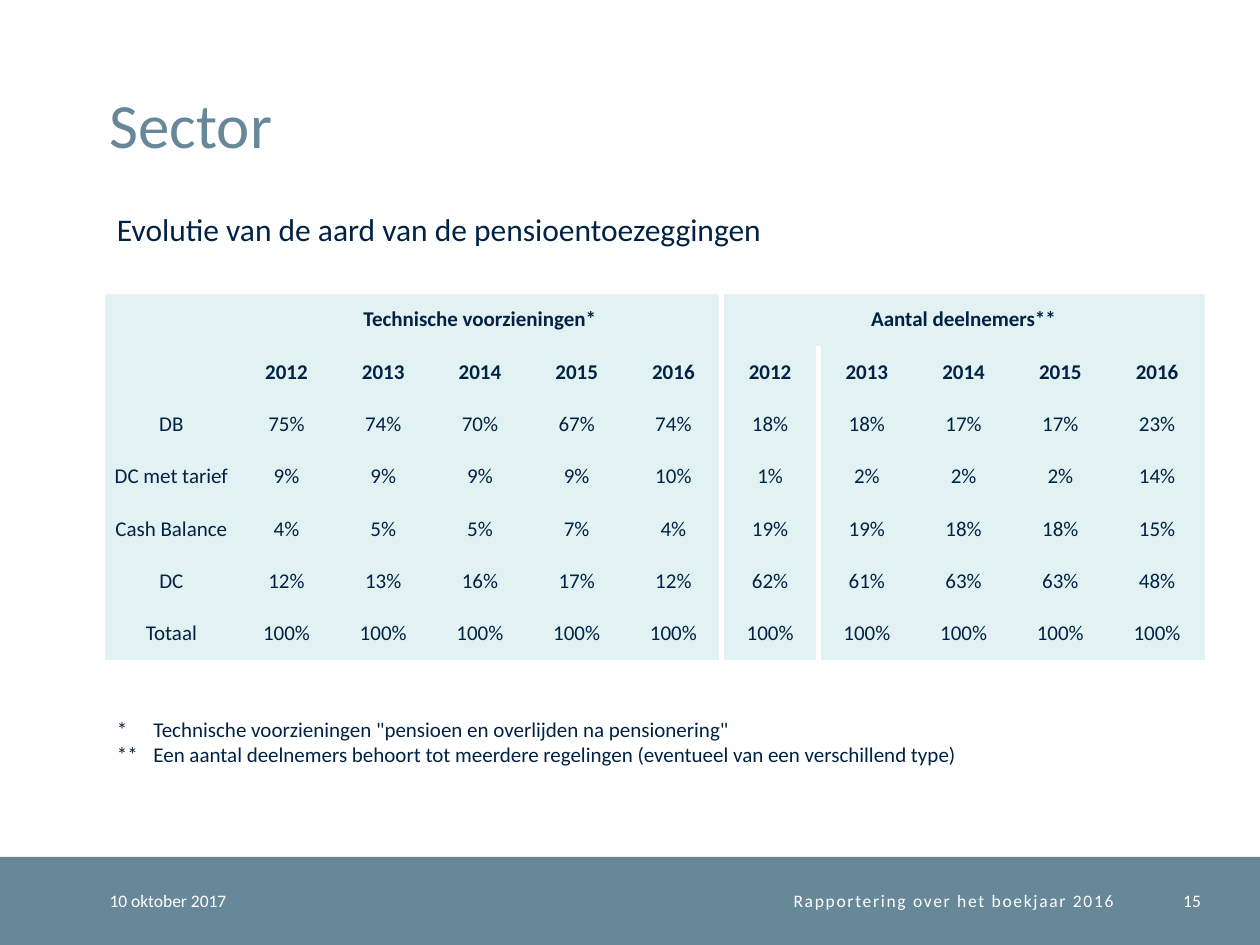
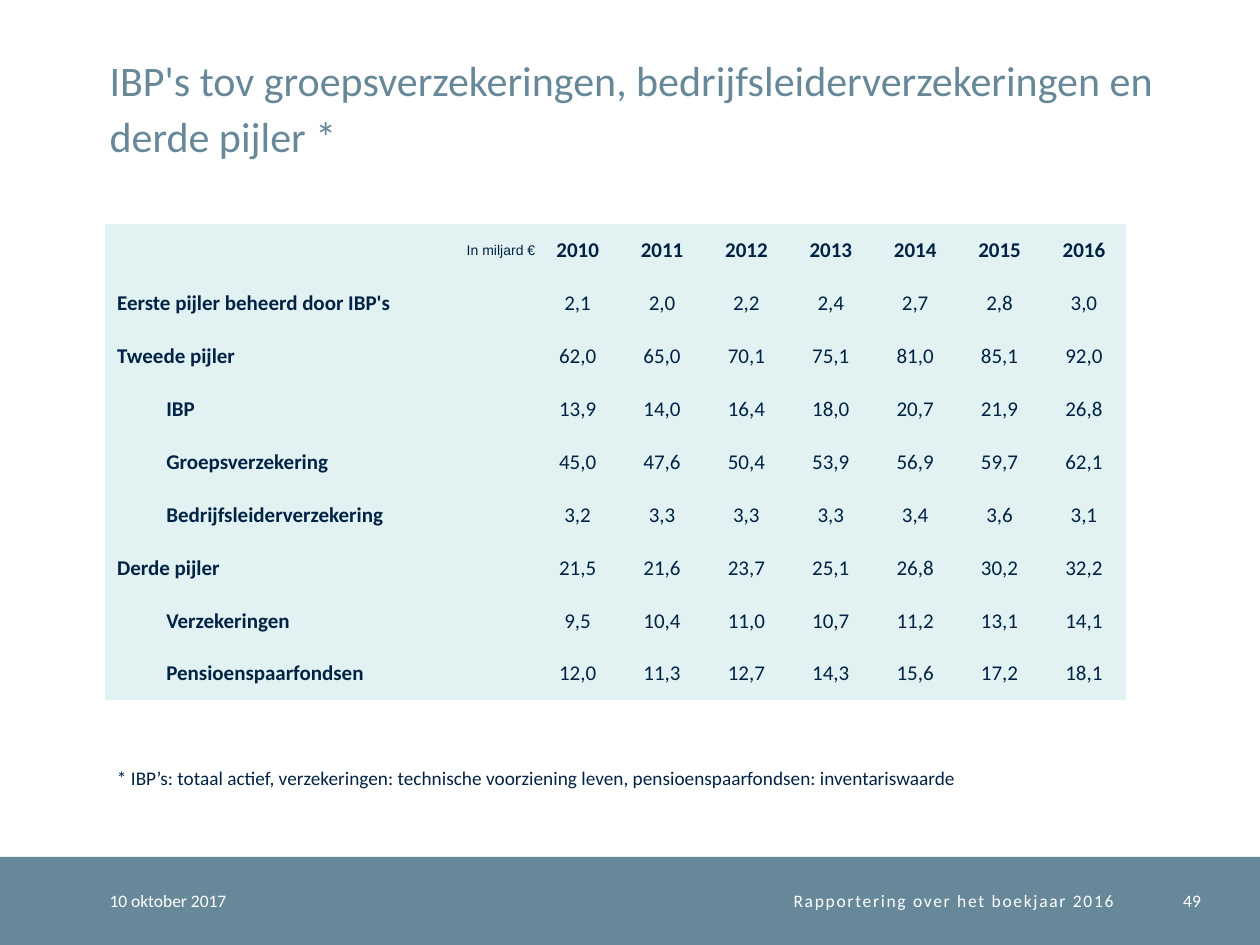
from dataclasses import dataclass, replace

from lxml.etree import SubElement
from pptx import Presentation
from pptx.dml.color import RGBColor
from pptx.enum.shapes import MSO_SHAPE
from pptx.enum.text import MSO_ANCHOR, MSO_AUTO_SIZE, PP_ALIGN
from pptx.oxml.ns import qn
from pptx.util import Inches, Pt

SLATE, NAVY, MINT, WHITE = "668899", "002244", "E2F2F2", "FFFFFF"
PLAIN = "{2D5ABB26-0587-4C30-8999-92F81FD0307C}"  # table style without grid


@dataclass(frozen=True)
class Style:
    size: float
    color: str = NAVY
    font: str = "Calibri"
    bold: bool = False
    align: PP_ALIGN = PP_ALIGN.LEFT
    left: float = 0
    hang: float = 0
    track: float = 0


@dataclass(frozen=True)
class Box:
    left: float
    top: float
    width: float
    height: float

    def place(self) -> list:
        return [Inches(v) for v in (self.left, self.top, self.width, self.height)]


@dataclass(frozen=True)
class Grid:
    box: Box
    first: float  # width of the label column
    rows: list


TITLE = Box(0.87, 0.2, 8.63, 1.08)
BAND = Box(0, 6.8, 10, 0.7)
SMALL = Style(10, WHITE)
BODY = Style(12)
MID = replace(BODY, align=PP_ALIGN.CENTER)
HEAD = replace(MID, bold=True)
NOTE = replace(BODY, left=0.29, hang=-0.29)


def paint(color: str) -> RGBColor:
    return RGBColor.from_string(color)


def write(frame, lines: list, style: Style) -> None:
    for i, line in enumerate(lines):
        para = frame.paragraphs[0] if i == 0 else frame.add_paragraph()
        para.alignment = style.align
        if style.left:
            props = para._p.get_or_add_pPr()
            props.set("marL", str(Inches(style.left)))
            props.set("indent", str(Inches(style.hang)))
        run = para.add_run()
        run.text = line
        font = run.font
        font.name, font.size, font.bold = style.font, Pt(style.size), style.bold
        font.color.rgb = paint(style.color)
        if style.track:
            run._r.get_or_add_rPr().set("spc", str(int(style.track * 100)))


def strip(frame, anchor: MSO_ANCHOR) -> None:
    frame.margin_left = frame.margin_right = 0
    frame.margin_top = frame.margin_bottom = 0
    frame.vertical_anchor = anchor


def label(slide, box: Box, lines: list, style: Style, flush: bool = False) -> None:
    frame = slide.shapes.add_textbox(*box.place()).text_frame
    frame.word_wrap = True
    if flush:
        strip(frame, MSO_ANCHOR.MIDDLE)
    write(frame, lines, style)


# Shared page: title, band and footer
def page(deck, title: str, size: float, number: str):
    slide = deck.slides.add_slide(deck.slide_layouts[5])
    head = slide.shapes.title
    head.left, head.top, head.width, head.height = TITLE.place()
    frame = head.text_frame
    frame.word_wrap, frame.auto_size = True, MSO_AUTO_SIZE.NONE
    strip(frame, MSO_ANCHOR.BOTTOM)
    write(frame, [title], Style(size, SLATE))
    frame.paragraphs[0].line_spacing = Pt(32)

    band = slide.shapes.add_shape(MSO_SHAPE.RECTANGLE, *BAND.place())
    band.shadow.inherit = False
    band.fill.solid()
    band.fill.fore_color.rgb = paint(SLATE)
    band.line.fill.background()

    right = replace(SMALL, align=PP_ALIGN.RIGHT)
    for left, width, text, style in (
        (0.87, 1.77, "10 oktober 2017", SMALL),
        (2.64, 6.2, "Rapportering over het boekjaar 2016", replace(right, track=1)),
        (9.04, 0.49, number, right),
    ):
        label(slide, Box(left, BAND.top, width, BAND.height), [text], style, True)
    return slide


# Tables
def edge(cell, side: str) -> None:
    props = cell._tc.get_or_add_tcPr()
    line = SubElement(props, qn(f"a:ln{side}"), w=str(Pt(3)))
    fill = SubElement(line, qn("a:solidFill"))
    SubElement(fill, qn("a:srgbClr"), val=WHITE)
    props.insert(0, line)


def draw(slide, grid: Grid, pick):
    rows, cols = len(grid.rows), len(grid.rows[0])
    shape = slide.shapes.add_table(rows, cols, *grid.box.place())
    next(shape.element.iter(qn("a:tableStyleId"))).text = PLAIN
    table = shape.table
    table.first_row = table.horz_banding = False
    rest = (grid.box.width - grid.first) / (cols - 1)
    for c, col in enumerate(table.columns):
        col.width = Inches(rest if c else grid.first)
    for r, row in enumerate(table.rows):
        row.height = Inches(grid.box.height / rows)
        for c, text in enumerate(grid.rows[r]):
            cell = table.cell(r, c)
            strip(cell, MSO_ANCHOR.MIDDLE)
            cell.fill.solid()
            cell.fill.fore_color.rgb = paint(MINT)
            if text:
                write(cell.text_frame, [text], pick(r, c))
    return table


YEARS = [str(y) for y in range(2010, 2017)]
SECTOR = Grid(Box(0.83, 2.33, 8.74, 2.91), 1.06, [
    ["", "Technische voorzieningen*", *[""] * 4, "Aantal deelnemers**", *[""] * 4],
    ["", *YEARS[2:] * 2],
    *[[name, *[f"{v}%" for v in vals]] for name, vals in (
        ("DB", (75, 74, 70, 67, 74, 18, 18, 17, 17, 23)),
        ("DC met tarief", (9, 9, 9, 9, 10, 1, 2, 2, 2, 14)),
        ("Cash Balance", (4, 5, 5, 7, 4, 19, 19, 18, 18, 15)),
        ("DC", (12, 13, 16, 17, 12, 62, 61, 63, 63, 48)),
        ("Totaal", (100,) * 10),
    )],
])
PILLAR = Grid(Box(0.83, 1.78, 8.11, 3.78), 3.42, [
    ["In miljard €", *YEARS],
    *[[name, *vals.split()] for name, vals in (
        ("Eerste pijler beheerd door IBP's", "2,1 2,0 2,2 2,4 2,7 2,8 3,0"),
        ("Tweede pijler", "62,0 65,0 70,1 75,1 81,0 85,1 92,0"),
        ("IBP", "13,9 14,0 16,4 18,0 20,7 21,9 26,8"),
        ("Groepsverzekering", "45,0 47,6 50,4 53,9 56,9 59,7 62,1"),
        ("Bedrijfsleiderverzekering", "3,2 3,3 3,3 3,3 3,4 3,6 3,1"),
        ("Derde pijler", "21,5 21,6 23,7 25,1 26,8 30,2 32,2"),
        ("Verzekeringen", "9,5 10,4 11,0 10,7 11,2 13,1 14,1"),
        ("Pensioenspaarfondsen", "12,0 11,3 12,7 14,3 15,6 17,2 18,1"),
    )],
])


def sector(deck) -> None:
    slide = page(deck, "Sector", 36, "15")
    label(slide, Box(0.83, 1.62, 8.43, 0.4),
          ["Evolutie van de aard van de pensioentoezeggingen"], Style(18))
    table = draw(slide, SECTOR, lambda r, c: HEAD if r < 2 else MID)
    # White rule between the two halves
    for r in range(len(SECTOR.rows)):
        edge(table.cell(r, 5), "R")
        edge(table.cell(r, 6), "L")
    edge(table.cell(0, 1), "R")
    table.cell(0, 0).merge(table.cell(1, 0))
    for c in (1, 6):
        table.cell(0, c).merge(table.cell(0, c + 4))
    label(slide, Box(0.83, 5.64, 8.74, 0.5), [
        '*\tTechnische voorzieningen "pensioen en overlijden na pensionering"',
        "**\tEen aantal deelnemers behoort tot meerdere regelingen "
        "(eventueel van een verschillend type)",
    ], NOTE)


def pillar(deck) -> None:
    slide = page(deck, "IBP's tov groepsverzekeringen, "
                 "bedrijfsleiderverzekeringen en derde pijler *", 24, "49")
    unit = Style(8, font="Arial", align=PP_ALIGN.RIGHT, left=0.1)
    mains = (1, 2, 6)

    def pick(r: int, c: int) -> Style:
        if c:
            return MID if r else HEAD
        if r == 0:
            return unit
        return replace(BODY, bold=True, left=0.1 if r in mains else 0.49)

    draw(slide, PILLAR, pick)
    label(slide, Box(0.83, 6.03, 8.35, 0.29), [
        "* IBP’s: totaal actief, verzekeringen: technische voorziening leven, "
        "pensioenspaarfondsen: inventariswaarde",
    ], Style(11))


def main() -> None:
    deck = Presentation()
    deck.slide_width, deck.slide_height = Inches(10), Inches(7.5)
    sector(deck)
    pillar(deck)
    deck.save("out.pptx")


if __name__ == "__main__":
    main()
